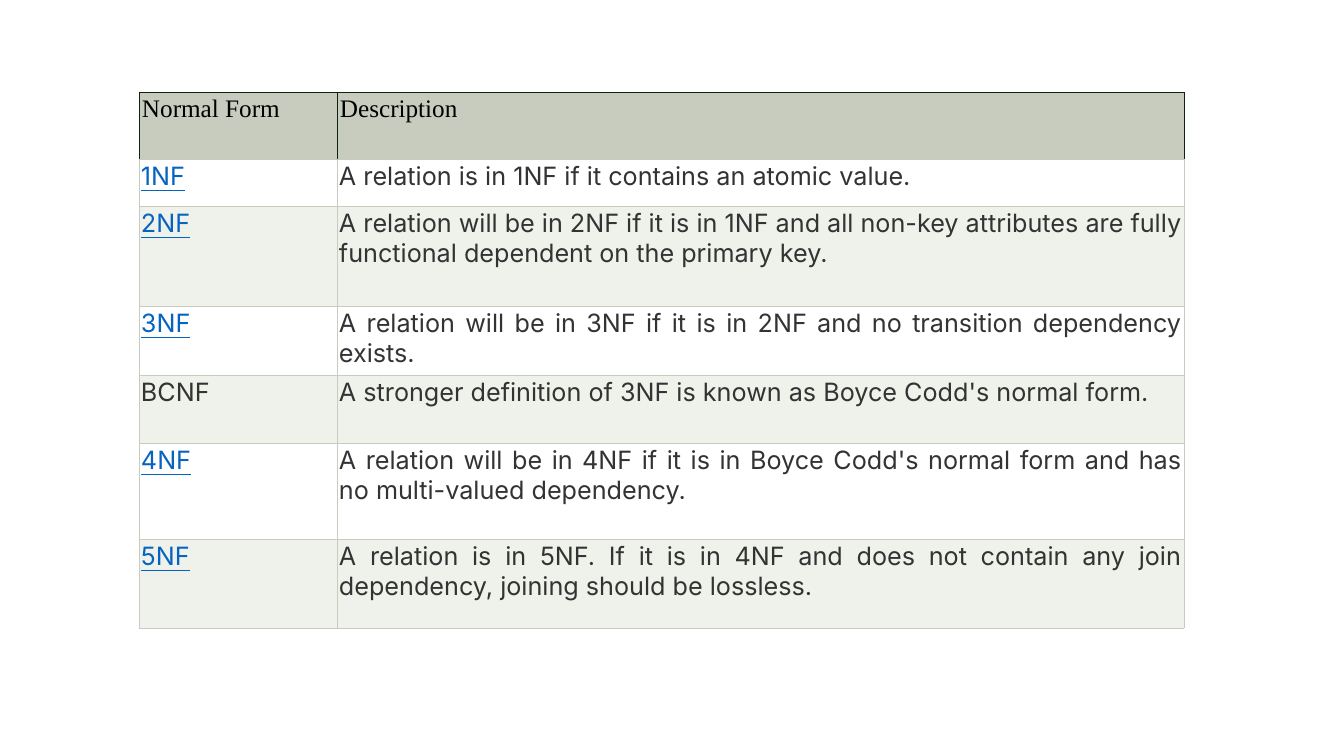
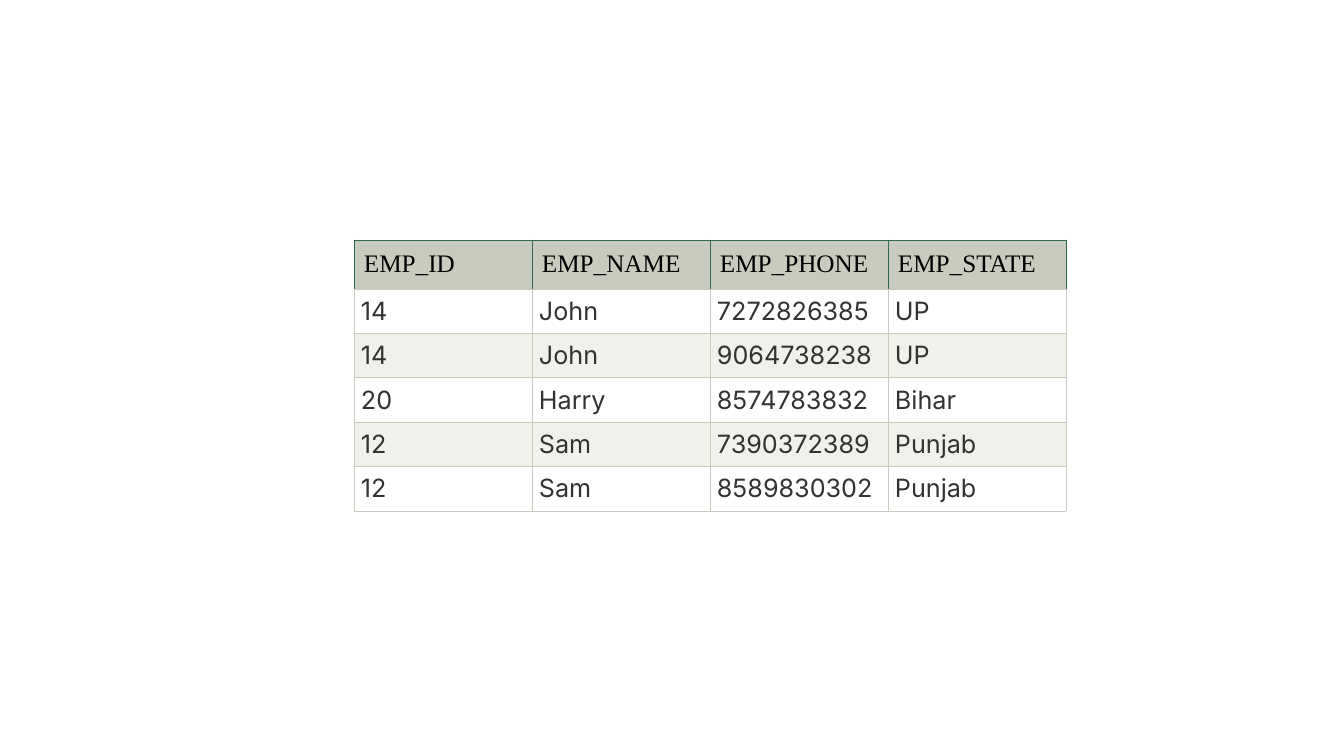
from lxml import etree
from pptx import Presentation
from pptx import util as u
from pptx.dml.color import RGBColor
from pptx.enum import text
from pptx.oxml import ns

SAGE, PALE, WHITE = "C7CCBE", "EFF1EB", "FFFFFF"
BLACK, GREY, BLUE = "000000", "333333", "0563C1"
NIGHT, GREEN = "102011", "306856"
SERIF, SANS = "Times New Roman", "Inter"


def px(n):
    return u.Emu(round(n * 914400 / 100.8))


def tint(code):
    return RGBColor.from_string(code)


def write(frame, words, font=SANS, size=18, color=GREY, line=False, align=None):
    par = frame.paragraphs[0]
    par.alignment = align
    run = par.add_run()
    run.text = words
    run.font.name = font
    run.font.size = u.Pt(size)
    run.font.color.rgb = tint(color)
    run.font.underline = line


class Deck:
    def __init__(self):
        self.show = Presentation()
        self.show.slide_width = px(1344)
        self.show.slide_height = px(756)
        self.page = None

    def slide(self):
        self.page = self.show.slides.add_slide(self.show.slide_layouts[6])
        self.page.background.fill.solid()
        self.page.background.fill.fore_color.rgb = tint(WHITE)

    def edge(self, cell, **sides):
        props = cell._tc.get_or_add_tcPr()
        for side in "LRTB":
            line = etree.SubElement(props, ns.qn(f"a:ln{side}"), w=str(u.Pt(0.6)))
            fill = etree.SubElement(line, ns.qn("a:solidFill"))
            etree.SubElement(fill, ns.qn("a:srgbClr"), val=sides.get(side, SAGE))

    def cell(self, cell, words, fill, pad, edges, **style):
        self.edge(cell, **edges)
        cell.fill.solid()
        cell.fill.fore_color.rgb = tint(fill)
        cell.margin_left = cell.margin_right = px(pad)
        cell.margin_top = cell.margin_bottom = px(pad)
        write(cell.text_frame, words, **style)

    def table(self, left, top, cols, tall, rows, rim, pads, links=()):
        grid = self.page.shapes.add_table(
            len(rows), len(cols), px(left), px(top), px(sum(cols)), px(sum(tall))).table
        grid.first_row = grid.horz_banding = False
        for col, width in zip(grid.columns, cols):
            col.width = px(width)
        for r, (row, height) in enumerate(zip(rows, tall)):
            grid.rows[r].height = px(height)
            for c, words in enumerate(row):
                spot = grid.cell(r, c)
                if r == 0:
                    self.cell(spot, words, SAGE, pads[0], dict(L=rim, R=rim, T=rim),
                              font=SERIF, color=BLACK)
                else:
                    link = words in links
                    self.cell(spot, words, WHITE if r % 2 else PALE, pads[1], {},
                              color=BLUE if link else GREY, line=link,
                              align=text.PP_ALIGN.JUSTIFY)


FORMS = [
    ("Normal Form", "Description"),
    ("1NF", "A relation is in 1NF if it contains an atomic value."),
    ("2NF", "A relation will be in 2NF if it is in 1NF and all non-key attributes "
            "are fully functional dependent on the primary key."),
    ("3NF", "A relation will be in 3NF if it is in 2NF and no transition dependency exists."),
    ("BCNF", "A stronger definition of 3NF is known as Boyce Codd's normal form."),
    ("4NF", "A relation will be in 4NF if it is in Boyce Codd's normal form "
            "and has no multi-valued dependency."),
    ("5NF", "A relation is in 5NF. If it is in 4NF and does not contain any join "
            "dependency, joining should be lossless."),
]
STAFF = [
    ("EMP_ID", "EMP_NAME", "EMP_PHONE", "EMP_STATE"),
    ("14", "John", "7272826385", "UP"),
    ("14", "John", "9064738238", "UP"),
    ("20", "Harry", "8574783832", "Bihar"),
    ("12", "Sam", "7390372389", "Punjab"),
    ("12", "Sam", "8589830302", "Punjab"),
]


def main():
    deck = Deck()
    deck.slide()
    deck.table(139, 92, [198, 847], [67, 47, 100, 69, 68, 96, 89], FORMS,
               rim=NIGHT, pads=(3, 2), links=("1NF", "2NF", "3NF", "4NF", "5NF"))
    deck.slide()
    deck.table(354, 240, [178] * 4, [49] + [44] * 5, STAFF, rim=GREEN, pads=(10, 7))
    deck.show.save("out.pptx")


if __name__ == "__main__":
    main()
